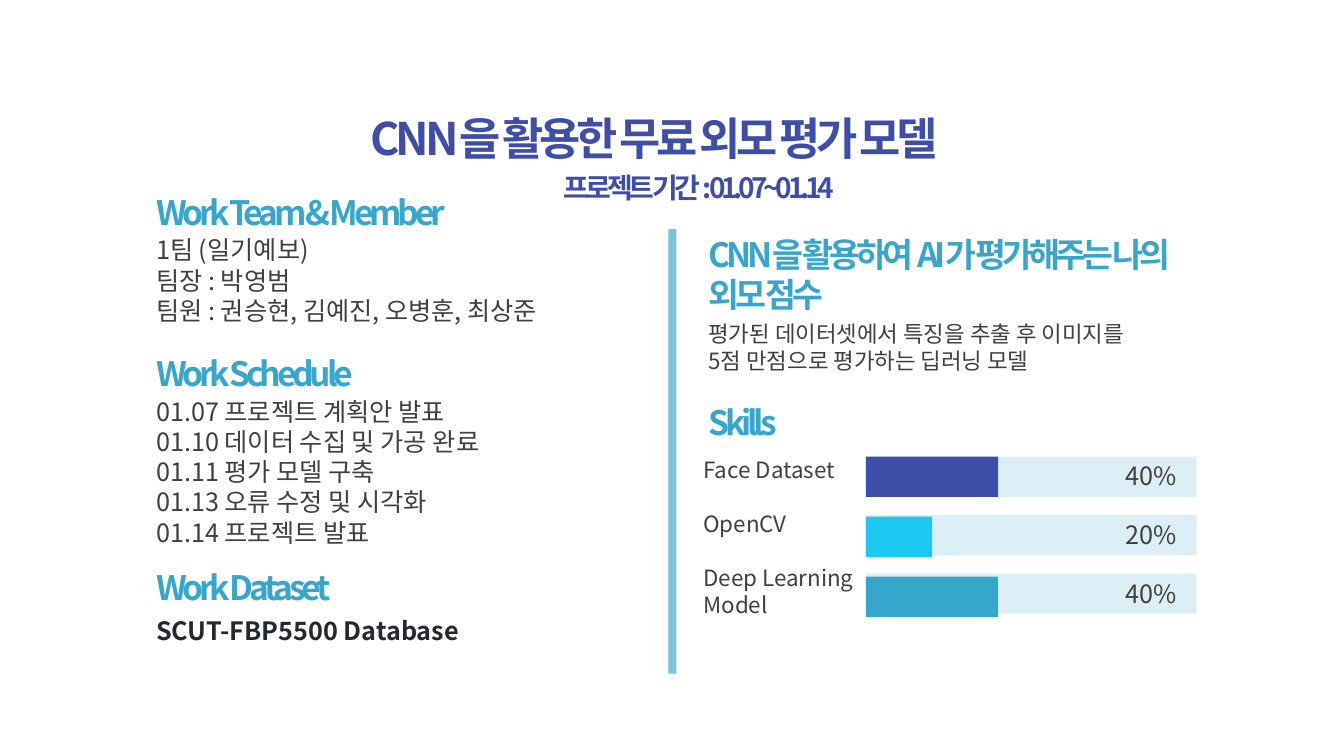
from dataclasses import dataclass

from lxml import etree
from pptx import Presentation
from pptx import util as u
from pptx.dml.color import RGBColor
from pptx.enum import shapes, text
from pptx.oxml.ns import qn

FACE = "Noto Sans CJK KR"
INDIGO, BLUE, CYAN, PALE = "3D4DA8", "37A6CD", "1CC8F0", "79C3DD"
GREY, INK = "404040", "24292F"

# The slide is a grid of 100 columns and 100 rows.
WIDTH, HEIGHT = u.Inches(13.33), u.Inches(7.5)
LEFT, RIGHT, LABELS, TRACK, PERCENT = 10.88, 51.98, 51.6, 64.43, 83.03
TRACK_WIDTH, BAR_HEIGHT = 24.6, 5.33


@dataclass(frozen=True)
class Style:
    size: int
    color: str = GREY
    bold: bool = False
    tracking: int = 0
    align: text.PP_ALIGN = text.PP_ALIGN.LEFT
    gap: float = 0


@dataclass(frozen=True)
class Area:
    column: float
    row: float
    columns: float
    rows: float

    def emu(self) -> tuple[int, int, int, int]:
        return (int(WIDTH * self.column / 100), int(HEIGHT * self.row / 100),
                int(WIDTH * self.columns / 100), int(HEIGHT * self.rows / 100))


@dataclass(frozen=True)
class Passage:
    area: Area
    style: Style
    lines: tuple[str, ...]


@dataclass(frozen=True)
class Skill:
    share: float
    color: str


TITLE = Style(32, INDIGO, True, -3)
PERIOD = Style(20, INDIGO, True, -3, text.PP_ALIGN.CENTER)
HEADING = Style(24, BLUE, True, -3)
BODY, SUMMARY, DATASET = Style(18), Style(16), Style(18, INK, True)
SKILL_NAMES = Style(16, gap=19.2)

PASSAGES = (
    Passage(Area(26.85, 14, 50.33, 8.53), TITLE, ("CNN을 활용한 무료 외모 평가 모델",)),
    Passage(Area(26.85, 21.87, 50.33, 5.87), PERIOD, ("프로젝트 기간 : 01.07~01.14",)),
    Passage(Area(LEFT, 24.67, 26.03, 6.67), HEADING, ("Work Team & Member",)),
    Passage(Area(LEFT, 30.4, 40.73, 13.47), BODY,
            ("1팀 (일기예보)", "팀장 : 박영범", "팀원 : 권승현, 김예진, 오병훈, 최상준")),
    Passage(Area(LEFT, 46, 26.03, 6.67), HEADING, ("Work Schedule",)),
    Passage(Area(LEFT, 51.73, 40.73, 21.6), BODY,
            ("01.07 프로젝트 계획안 발표", "01.10 데이터 수집 및 가공 완료",
             "01.11 평가 모델 구축", "01.13 오류 수정 및 시각화", "01.14 프로젝트 발표")),
    Passage(Area(LEFT, 74.27, 26.03, 6.67), HEADING, ("Work Dataset",)),
    Passage(Area(LEFT, 80.67, 40.73, 5.33), DATASET, ("SCUT-FBP5500 Database",)),
    Passage(Area(RIGHT, 30.27, 35.63, 12.13), HEADING,
            ("CNN을 활용하여 AI가 평가해주는 나의 외모 점수",)),
    Passage(Area(RIGHT, 41.73, 40.73, 8.53), SUMMARY,
            ("평가된 데이터셋에서 특징을 추출 후 이미지를", "5점 만점으로 평가하는 딥러닝 모델")),
    Passage(Area(RIGHT, 52.53, 35.63, 6.67), HEADING, ("Skills",)),
    Passage(Area(LABELS, 59.73, 12.83, 22.93), SKILL_NAMES,
            ("Face Dataset", "OpenCV", "Deep Learning Model")),
)
SKILLS = (Skill(0.4, INDIGO), Skill(0.2, CYAN), Skill(0.4, BLUE))


def rgb(value: str) -> RGBColor:
    return RGBColor.from_string(value)


def write(slide, passage: Passage) -> None:
    style = passage.style
    frame = slide.shapes.add_textbox(*passage.area.emu()).text_frame
    frame.word_wrap = True
    frame.auto_size = text.MSO_AUTO_SIZE.SHAPE_TO_FIT_TEXT
    font_format = {"name": FACE, "size": u.Pt(style.size), "bold": style.bold}
    for number, line in enumerate(passage.lines):
        paragraph = frame.add_paragraph() if number else frame.paragraphs[0]
        paragraph.alignment = style.align
        if number and style.gap:
            paragraph.space_before = u.Pt(style.gap)
        run = paragraph.add_run()
        run.text = line
        for attribute, value in font_format.items():
            setattr(run.font, attribute, value)
        run.font.color.rgb = rgb(style.color)
        properties = run.font._element
        if style.tracking:
            properties.set("spc", str(style.tracking * 100))
        etree.SubElement(properties, qn("a:ea"), typeface=FACE)


def block(slide, area: Area, color: str, opacity: int = 100) -> None:
    rectangle = slide.shapes.add_shape(shapes.MSO_SHAPE.RECTANGLE, *area.emu())
    rectangle.shadow.inherit = False
    rectangle.line.fill.background()
    rectangle.fill.solid()
    rectangle.fill.fore_color.rgb = rgb(color)
    if opacity < 100:
        tint = rectangle._element.spPr.find(f".//{qn('a:srgbClr')}")
        etree.SubElement(tint, qn("a:alpha"), val=str(opacity * 1000))


def skill_bar(slide, number: int, skill: Skill) -> None:
    block(slide, Area(TRACK, 60.4 + 7.73 * number, TRACK_WIDTH, BAR_HEIGHT), PALE, 25)
    block(slide, Area(TRACK, 60.4 + 7.93 * number, TRACK_WIDTH * skill.share, BAR_HEIGHT),
          skill.color)
    write(slide, Passage(Area(PERCENT, 60.27 + 7.8 * number, 7.43, BAR_HEIGHT), BODY,
                         (f"{skill.share:.0%}",)))


def main() -> None:
    deck = Presentation()
    deck.slide_width, deck.slide_height = WIDTH, HEIGHT
    slide = deck.slides.add_slide(deck.slide_layouts[6])
    block(slide, Area(49.73, 30.3, 0.6, 58.8), PALE)
    for passage in PASSAGES:
        write(slide, passage)
    for number, skill in enumerate(SKILLS):
        skill_bar(slide, number, skill)
    deck.save("out.pptx")


if __name__ == "__main__":
    main()
